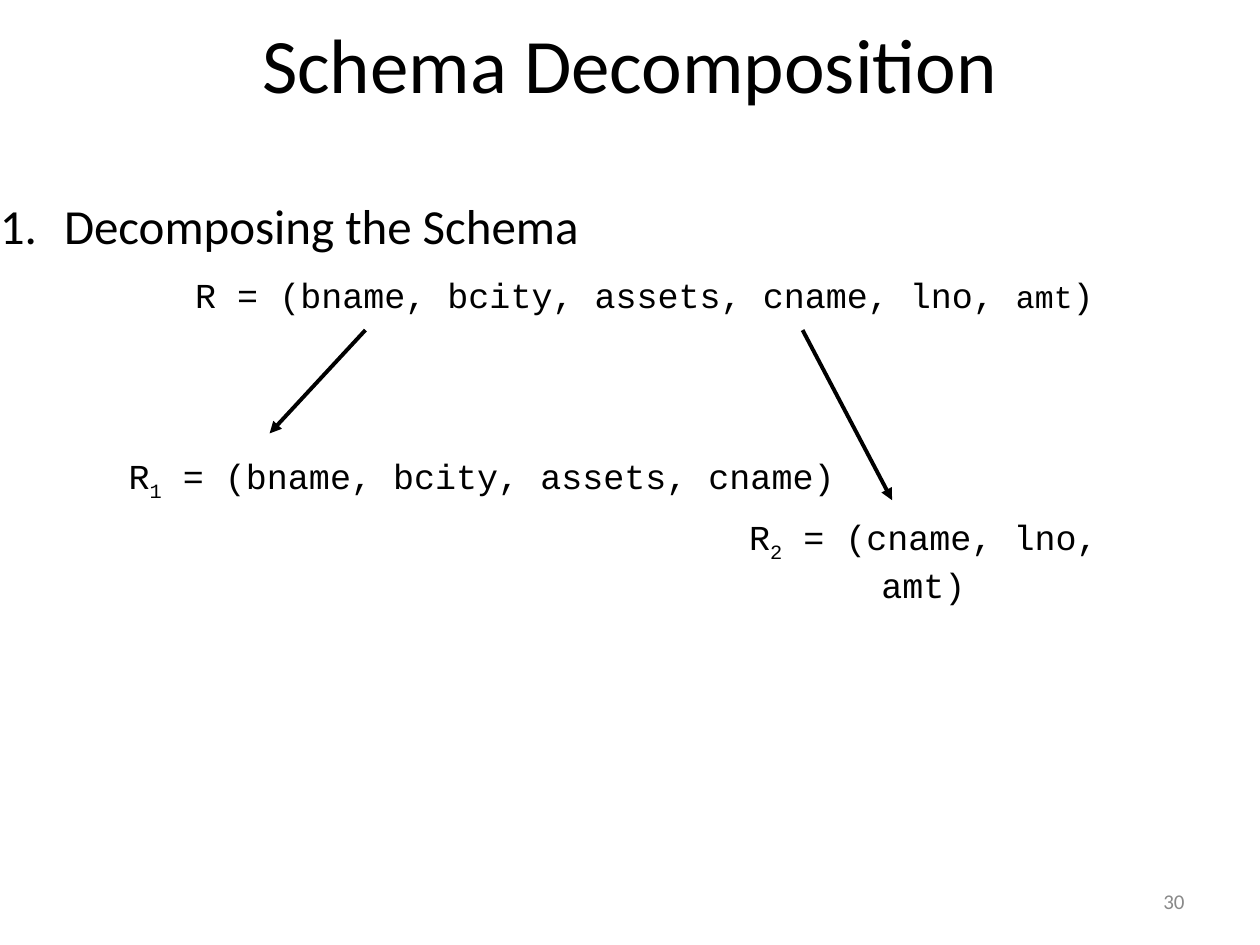
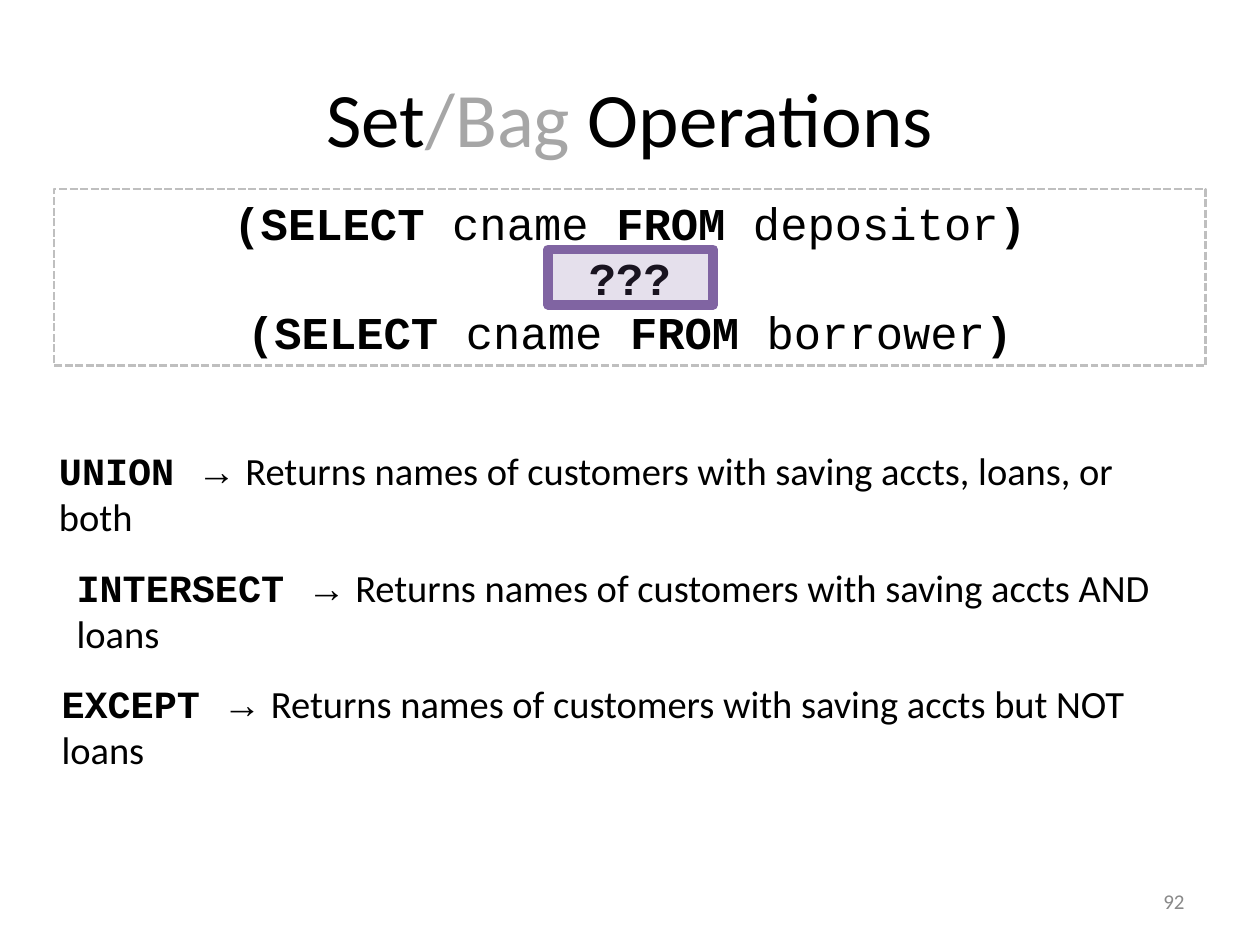
from lxml import etree
from pptx import Presentation, util as u
from pptx.dml.color import RGBColor
from pptx.enum import dml, shapes, text
from pptx.oxml.ns import qn

COLUMNS, ROWS = 100, 75
COLORS = {"ink": "000000", "muted": "A6A6A6", "footer": "898989",
          "frame": "BFBFBF", "accent": "8064A2"}
BODY, CODE, SYMBOL = "Calibri", "Courier New", "Times New Roman"
LEFT, CENTER, RIGHT = text.PP_ALIGN.LEFT, text.PP_ALIGN.CENTER, text.PP_ALIGN.RIGHT
BOLD = {"bold": True}
SUBSCRIPT = {"baseline": -25}


class Deck:
    def __init__(self):
        self.presentation = Presentation()
        self.presentation.slide_width = u.Inches(10)
        self.presentation.slide_height = u.Inches(7.5)
        self.column = self.presentation.slide_width / COLUMNS
        self.row = self.presentation.slide_height / ROWS
        self.slide = None

    def place(self, *grid):
        units = (self.column, self.row) * 2
        return [u.Emu(round(value * unit)) for value, unit in zip(grid, units)]

    def add_slide(self):
        self.slide = self.presentation.slides.add_slide(self.presentation.slide_layouts[6])

    def style_font(self, font, name=None, size=None, bold=None, color=None):
        if name:
            font.name = name
        if size:
            font.size = u.Pt(size)
        if bold is not None:
            font.bold = bold
        if color:
            font.color.rgb = RGBColor.from_string(COLORS[color])

    def set_spans(self, paragraph, spans, align=LEFT, name=BODY, size=20, color="ink"):
        paragraph.alignment = align
        self.style_font(paragraph.font, name, size, False, color)
        for words, changes in spans:
            run = paragraph.add_run()
            run.text = words
            changes = dict(changes)
            baseline = changes.pop("baseline", None)
            self.style_font(run.font, **changes)
            if baseline:
                run._r.get_or_add_rPr().set("baseline", str(baseline * 1000))

    def fixed_text(self, grid, spans, **style):
        frame = self.slide.shapes.add_textbox(*self.place(*grid)).text_frame
        frame.word_wrap = True
        frame.vertical_anchor = text.MSO_ANCHOR.MIDDLE
        self.set_spans(frame.paragraphs[0], spans, **style)

    def title(self, grid, spans):
        self.fixed_text(grid, spans, align=CENTER, size=44)

    def page_number(self, number):
        self.fixed_text((71.7, 69.5, 23.3, 4), [(str(number), {})],
                        align=RIGHT, size=12, color="footer")

    def label(self, grid, spans, **style):
        frame = self.slide.shapes.add_textbox(*self.place(*grid)).text_frame
        frame.word_wrap = False
        frame.auto_size = text.MSO_AUTO_SIZE.SHAPE_TO_FIT_TEXT
        self.set_spans(frame.paragraphs[0], spans, **style)
        return frame.paragraphs[0]

    def numbered(self, grid, number, words):
        paragraph = self.label(grid, [(f"{number}.\t{words}", {})], size=28)
        properties = paragraph._p.get_or_add_pPr()
        properties.set("marL", str(u.Inches(0.51)))
        properties.set("indent", str(-u.Inches(0.51)))

    def schema(self, grid, spans):
        return self.label(grid, spans, align=CENTER, name=CODE)

    def arrow(self, start, end):
        connector = self.slide.shapes.add_connector(
            shapes.MSO_CONNECTOR.STRAIGHT, *self.place(*start, *end))
        connector.line.width = u.Pt(2.25)
        connector.line.color.rgb = RGBColor.from_string(COLORS["ink"])
        properties = connector._element.spPr
        etree.SubElement(properties.find(qn("a:ln")), qn("a:tailEnd"), type="triangle")
        etree.SubElement(properties, qn("a:effectLst"))

    def rectangle(self, grid, color, width, opacity=0):
        shape = self.slide.shapes.add_shape(
            shapes.MSO_SHAPE.RECTANGLE, *self.place(*grid))
        shape.shadow.inherit = False
        shape.line.color.rgb = RGBColor.from_string(COLORS[color])
        shape.line.width = u.Pt(width)
        if opacity:
            shape.fill.solid()
            shape.fill.fore_color.rgb = RGBColor.from_string(COLORS[color])
            fill = shape._element.spPr.find(qn("a:solidFill"))
            etree.SubElement(fill[0], qn("a:alpha"), val=str(opacity * 1000))
        else:
            shape.fill.background()
        return shape

    def code_frame(self, grid, lines):
        shape = self.rectangle(grid, "frame", 1.5)
        shape.line.dash_style = dml.MSO_LINE.SQUARE_DOT
        frame = shape.text_frame
        frame.word_wrap = True
        frame.auto_size = text.MSO_AUTO_SIZE.SHAPE_TO_FIT_TEXT
        frame.vertical_anchor = text.MSO_ANCHOR.TOP
        for index, spans in enumerate(lines):
            paragraph = frame.add_paragraph() if index else frame.paragraphs[0]
            self.set_spans(paragraph, spans, align=CENTER, name=CODE, size=26)


def select_from(table):
    return [("(SELECT", BOLD), (" cname ", {}), ("FROM", BOLD),
            (f" {table}", {}), (")", BOLD)]


def schema_decomposition(deck):
    deck.add_slide()
    deck.title((0, 1, 100, 7.9), [("Schema Decomposition", {})])
    deck.arrow((29, 26.2), (21.4, 34.4))
    deck.arrow((63.7, 26.2), (70.8, 39.7))
    deck.numbered((-1, 15, 58.1, 5.7), 1, "Decomposing the Schema")
    relation = deck.schema((14.5, 21.2, 73.3, 4.4), [
        ("R = (bname, bcity, assets, cname, lno, ", {}), ("amt", {"size": 18}), (")", {})])
    relation.space_before = u.Pt(5)
    parts = [((9.2, 35.6, 58.1, 4.8), "bname, bcity, assets, cname"),
             ((54.3, 40.4, 38, 4.8), "cname, lno, amt")]
    for number, (grid, attributes) in enumerate(parts, 1):
        deck.schema(grid, [("R", {}), (str(number), SUBSCRIPT), (f" = ({attributes})", {})])
    deck.page_number(30)


def set_operations(deck):
    deck.add_slide()
    deck.title((5, 3, 90, 12.5), [
        ("Set", {}), ("/Bag", {"color": "muted"}), (" Operations", {})])
    deck.code_frame((4.3, 15, 91.4, 14), [
        select_from("depositor"), [("???", BOLD)], select_from("borrower")])
    deck.rectangle((43.5, 19.8, 13.1, 4.4), "accent", 5.5, opacity=20)
    operations = [("UNION", "saving accts, loans, or both", 3.7, 91.3),
                  ("INTERSECT", "saving accts AND loans", 5.1, 93.5),
                  ("EXCEPT", "saving accts but NOT loans", 3.9, 92.8)]
    for index, (keyword, holders, left, width) in enumerate(operations):
        deck.label((left, 35 + 9.25 * index, width, 4.7), [
            (f"{keyword} ", {"name": CODE, "bold": True}),
            ("→ ", {"name": SYMBOL}),
            (f"Returns names of customers with {holders}", {})], size=22)
    deck.page_number(92)


def main():
    deck = Deck()
    schema_decomposition(deck)
    set_operations(deck)
    deck.presentation.save("out.pptx")


if __name__ == "__main__":
    main()
